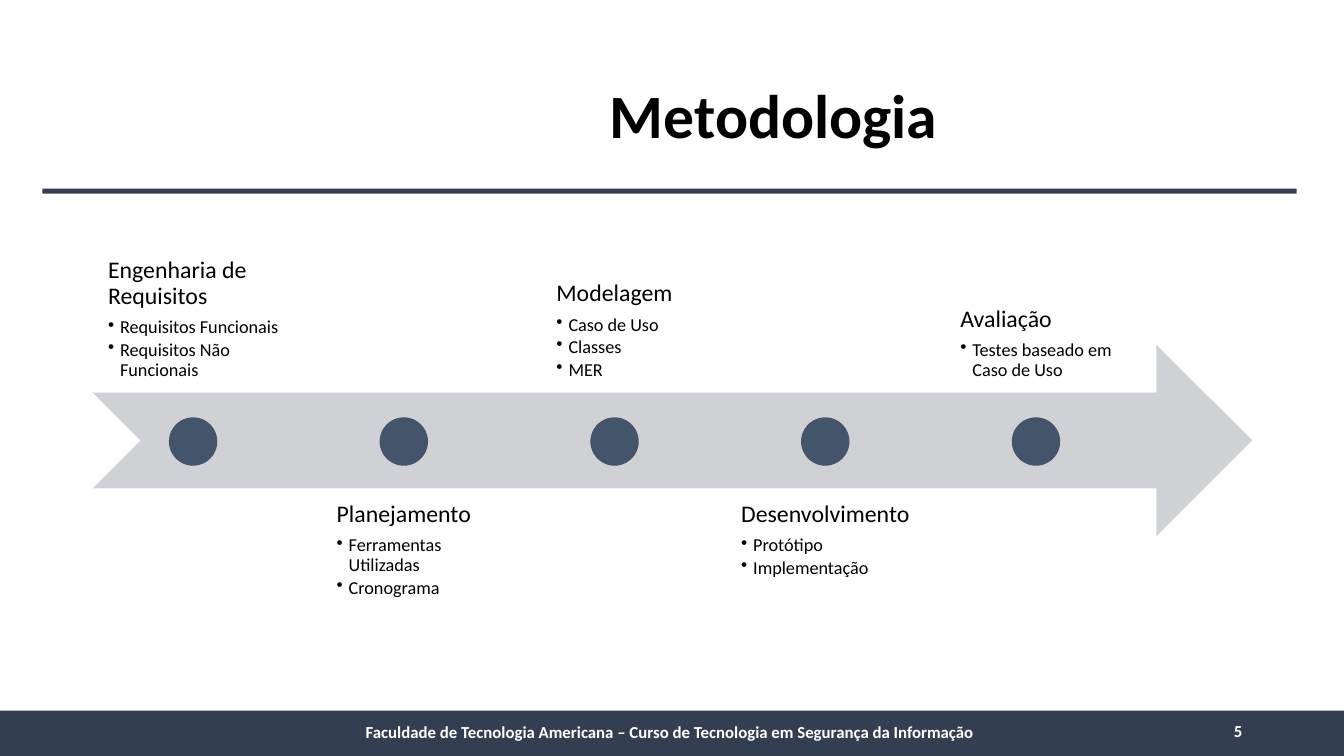
"""Builds the Metodologia slide: a five-stage process along an arrow."""
from dataclasses import dataclass

import pptx
import pptx.dml.color
import pptx.enum.shapes
import pptx.enum.text
import pptx.oxml.ns
import pptx.util
from lxml import etree

Inches = pptx.util.Inches
Pt = pptx.util.Pt
Shape = pptx.enum.shapes.MSO_SHAPE
Align = pptx.enum.text.PP_ALIGN
Anchor = pptx.enum.text.MSO_ANCHOR


@dataclass(frozen=True)
class Theme:
    font: str = "Calibri"
    band: str = "333F50"
    arrow: str = "CFD1D4"
    dot: str = "44546A"
    ink: str = "000000"
    footer_ink: str = "FFFFFF"
    title_size: int = 44
    stage_size: int = 17
    item_size: int = 13
    footer_size: int = 12


class SlideBuilder:
    def __init__(self, slide, theme):
        self.slide = slide
        self.theme = theme

    def block(self, kind, left, top, width, height, color):
        shape = self.slide.shapes.add_shape(
            kind, Inches(left), Inches(top), Inches(width), Inches(height))
        shape.shadow.inherit = False
        shape.fill.solid()
        shape.fill.fore_color.rgb = pptx.dml.color.RGBColor.from_string(color)
        shape.line.fill.background()

    def frame(self, left, top, width, height, anchor):
        box = self.slide.shapes.add_textbox(
            Inches(left), Inches(top), Inches(width), Inches(height))
        frame = box.text_frame
        frame.word_wrap = True
        frame.vertical_anchor = anchor
        return frame

    def set_text(self, paragraph, text, size, color, bold=False):
        paragraph.text = text
        font = paragraph.font
        font.name = self.theme.font
        font.size = Pt(size)
        font.bold = bold
        font.color.rgb = pptx.dml.color.RGBColor.from_string(color)

    def label(self, text, left, top, width, height, size, color, align):
        paragraph = self.frame(left, top, width, height, Anchor.MIDDLE).paragraphs[0]
        paragraph.alignment = align
        self.set_text(paragraph, text, size, color, bold=True)

    def bullet(self, paragraph):
        indent = Inches(0.12)
        properties = paragraph._p.get_or_add_pPr()
        properties.set("marL", str(indent))
        properties.set("indent", str(-indent))
        mark = etree.SubElement(properties, pptx.oxml.ns.qn("a:buChar"))
        mark.set("char", "•")
        properties.insert_element_before(mark, "a:tabLst", "a:defRPr", "a:extLst")

    def stage(self, heading, items, left, top, width, height, anchor):
        frame = self.frame(left, top, width, height, anchor)
        frame.margin_left = frame.margin_right = Inches(0.13)
        frame.margin_top = frame.margin_bottom = Inches(0.13)
        frame._txBody.bodyPr.set("anchorCtr", "1")
        title = frame.paragraphs[0]
        self.set_text(title, heading, self.theme.stage_size, self.theme.ink)
        title.line_spacing = 0.9
        title.space_after = Pt(6)
        for item in items:
            entry = frame.add_paragraph()
            self.set_text(entry, item, self.theme.item_size, self.theme.ink)
            entry.line_spacing = 0.9
            entry.space_after = Pt(2)
            self.bullet(entry)


STAGES = [
    ("Engenharia de Requisitos", ["Requisitos Funcionais", "Requisitos Não Funcionais"]),
    ("Planejamento", ["Ferramentas Utilizadas", "Cronograma"]),
    ("Modelagem", ["Caso de Uso", "Classes", "MER"]),
    ("Desenvolvimento", ["Protótipo", "Implementação"]),
    ("Avaliação", ["Testes baseado em Caso de Uso"]),
]
STAGE_LEFT, STAGE_PITCH, STAGE_WIDTH, STAGE_HEIGHT = 0.92, 2.09, 1.99, 1.9
ABOVE_TOP, BELOW_TOP = 2, 4.85
DOT_TOP, DOT_SIZE = 4.14, 0.48

presentation = pptx.Presentation()
presentation.slide_width = Inches(13.33)
presentation.slide_height = Inches(7.5)
theme = Theme()
builder = SlideBuilder(
    presentation.slides.add_slide(presentation.slide_layouts[6]), theme)

builder.block(Shape.RECTANGLE, 0, 7.05, 13.33, 0.45, theme.band)
builder.block(Shape.RECTANGLE, 0.42, 1.87, 12.44, 0.05, theme.band)
builder.label("Metodologia", 2.93, 0.4, 9.49, 1.45,
              theme.title_size, theme.ink, Align.CENTER)

builder.block(Shape.NOTCHED_RIGHT_ARROW, STAGE_LEFT, 3.42, 11.5, 1.9, theme.arrow)
for index, (heading, items) in enumerate(STAGES):
    left = STAGE_LEFT + index * STAGE_PITCH
    top, anchor = (BELOW_TOP, Anchor.TOP) if index % 2 else (ABOVE_TOP, Anchor.BOTTOM)
    builder.stage(heading, items, left, top, STAGE_WIDTH, STAGE_HEIGHT, anchor)
    dot_left = left + (STAGE_WIDTH - DOT_SIZE) / 2
    builder.block(Shape.OVAL, dot_left, DOT_TOP, DOT_SIZE, DOT_SIZE, theme.dot)

builder.label(
    "Faculdade de Tecnologia Americana – Curso de Tecnologia em Segurança da Informação",
    2.93, 7.06, 7.43, 0.4, theme.footer_size, theme.footer_ink, Align.CENTER)
builder.label("5", 9.42, 7.05, 3, 0.4,
              theme.footer_size, theme.footer_ink, Align.RIGHT)

presentation.save("out.pptx")
